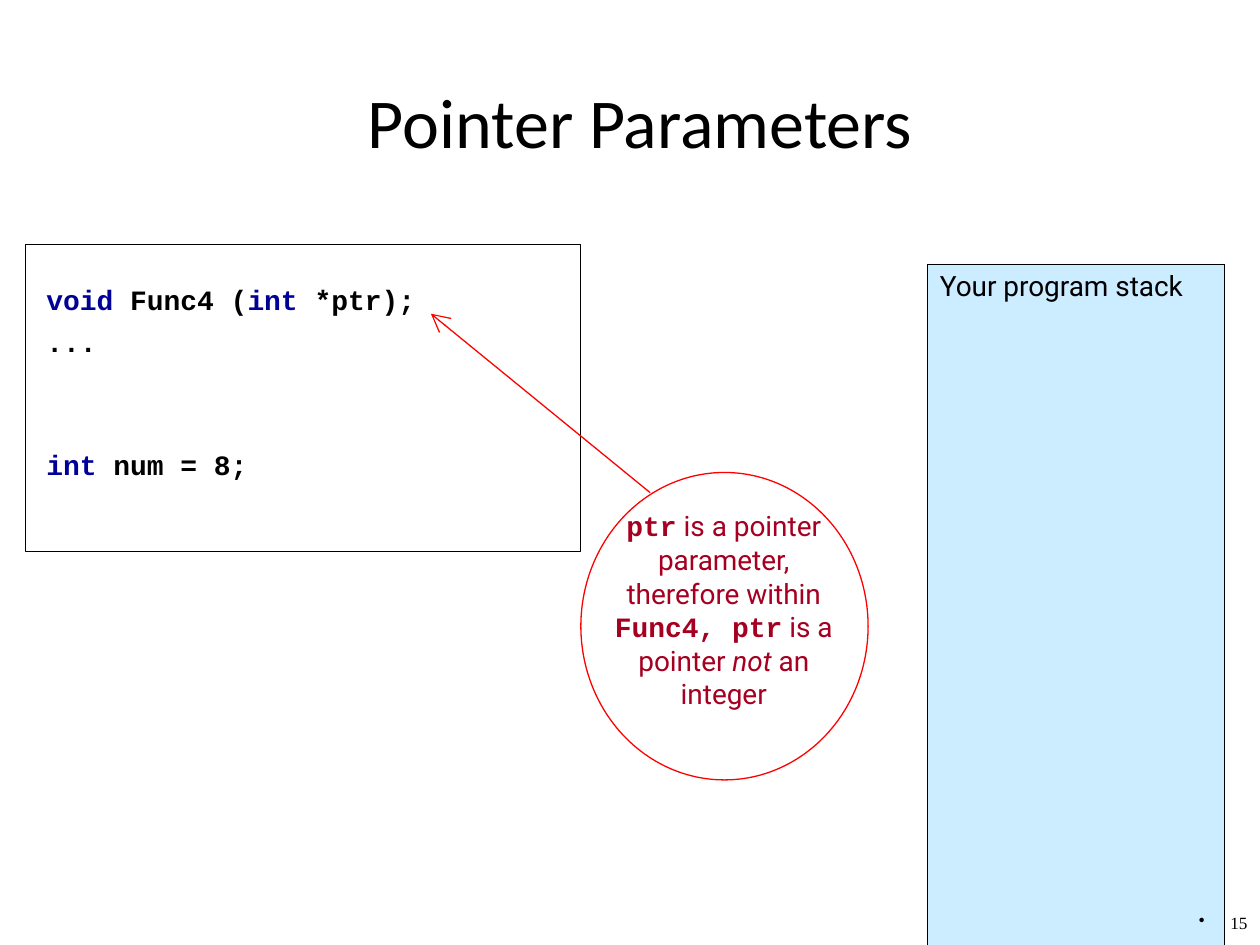
from lxml import etree
from pptx import Presentation
from pptx.dml.color import RGBColor
from pptx.enum.shapes import MSO_CONNECTOR, MSO_SHAPE
from pptx.enum.text import MSO_ANCHOR, PP_ALIGN
from pptx.oxml.ns import qn
from pptx.util import Inches, Pt

LEFT, CENTER, RIGHT, JUSTIFY = PP_ALIGN.LEFT, PP_ALIGN.CENTER, PP_ALIGN.RIGHT, PP_ALIGN.JUSTIFY
TOP, MIDDLE = MSO_ANCHOR.TOP, MSO_ANCHOR.MIDDLE
OVAL, RECTANGLE = MSO_SHAPE.OVAL, MSO_SHAPE.RECTANGLE
STRAIGHT = MSO_CONNECTOR.STRAIGHT

THEME = {
    "black": "000000",
    "red": "FF0000",
    "stack": "CCECFF",
    "outline": Pt(0.75),
    "border": Pt(0.45),
    "title": ("Calibri", 40, "000000", False, False),
    "code": ("Courier New", 16, "000000", True, False),
    "keyword": ("Courier New", 16, "000099", True, False),
    "label": ("Roboto", 16, "000000", False, False),
    "note": ("Roboto", 16, "A50021", False, False),
    "note italic": ("Roboto", 16, "A50021", False, True),
    "note code": ("Courier New", 16, "A50021", True, False),
    "page": ("Times New Roman", 9.8, "000000", False, False),
}

deck = Presentation()
deck.slide_width, deck.slide_height = Inches(10), Inches(7.5)
slide = deck.slides.add_slide(deck.slide_layouts[6])
shapes = slide.shapes
COLUMN = deck.slide_width / 100
ROW = deck.slide_height / 75


def place(left, top, width, height):
    return [round(left * COLUMN), round(top * ROW), round(width * COLUMN), round(height * ROW)]


def write(frame, lines, align=LEFT, anchor=TOP, gaps=(0,), spacing=None, bullet=None):
    frame.word_wrap = True
    frame.vertical_anchor = anchor
    for index, (line, gap) in enumerate(zip(lines, gaps)):
        paragraph = frame.add_paragraph() if index else frame.paragraphs[0]
        paragraph.alignment = align
        paragraph.space_before = Pt(gap)
        if spacing:
            paragraph.line_spacing = spacing
        if bullet:
            properties = paragraph._p.get_or_add_pPr()
            properties.set("marL", str(Inches(0.25)))
            properties.set("indent", str(-Inches(0.25)))
            etree.SubElement(properties, qn("a:buChar"), char=bullet)
        for text, style in line:
            run = paragraph.add_run()
            run.text = text
            font = run.font
            font.name, size, color, font.bold, font.italic = THEME[style]
            font.size = Pt(size)
            font.color.rgb = RGBColor.from_string(color)


title = shapes.add_textbox(*place(8.3, 6, 85, 7.1))
write(title.text_frame, [[("Pointer Parameters", "title")]], align=CENTER, anchor=MIDDLE)

code = shapes.add_textbox(*place(2.7, 21.9, 47.2, 48.8))
code_lines = [
    [("void", "keyword"), (" Func4 (", "code"), ("int", "keyword"), (" *ptr);", "code")],
    [("...", "code")],
    [("int", "keyword"), (" num = 8;", "code")],
]
write(code.text_frame, code_lines, gaps=(0, 5, 51))

STACK_ROWS = 13
stack_widths = (8.6, 9.5, 23.6)
stack = shapes.add_table(STACK_ROWS, len(stack_widths), *place(55.5, 21, sum(stack_widths), 54)).table
stack.first_row = stack.horz_banding = False
for column, width in zip(stack.columns, stack_widths):
    column.width = round(width * COLUMN)
for level in range(STACK_ROWS):
    for position in range(len(stack_widths)):
        cell = stack.cell(level, position)
        in_stack = position == 2
        drawn = {
            "L": in_stack,
            "R": position > 0,
            "T": in_stack and level == 0,
            "B": False,
        }
        properties = cell._tc.get_or_add_tcPr()
        for side, visible in drawn.items():
            edge = etree.SubElement(properties, qn("a:ln" + side), w=str(THEME["border"]))
            paint = etree.SubElement(edge, qn("a:solidFill" if visible else "a:noFill"))
            if visible:
                etree.SubElement(paint, qn("a:srgbClr"), val=THEME["black"])
        if in_stack:
            cell.fill.solid()
            cell.fill.fore_color.rgb = RGBColor.from_string(THEME["stack"])
        else:
            cell.fill.background()
write(stack.cell(0, 2).text_frame, [[("Your program stack", "label")]], align=JUSTIFY)

page = shapes.add_textbox(*place(93.6, 72.2, 6.4, 2.8))
write(page.text_frame, [[("15", "page")]], align=RIGHT, spacing=0.8, bullet="•")

note = shapes.add_textbox(*place(47.6, 39.9, 19.7, 17))
note_line = [
    ("ptr", "note code"),
    (" is a pointer parameter, therefore within ", "note"),
    ("Func4, ptr", "note code"),
    (" is a pointer ", "note"),
    ("not", "note italic"),
    (" an integer", "note"),
]
write(note.text_frame, [note_line], align=CENTER)

for kind, area, color in (
    (OVAL, (46.1, 37.5, 22.8, 24.4), "red"),
    (RECTANGLE, (2, 19.4, 44.1, 24.4), "black"),
):
    outline = shapes.add_shape(kind, *place(*area))
    outline.shadow.inherit = False
    outline.fill.background()
    outline.line.color.rgb = RGBColor.from_string(THEME[color])
    outline.line.width = THEME["outline"]

pointer = shapes.add_connector(STRAIGHT, *place(51.6, 39.1, 34.2, 24.9))
pointer.line.color.rgb = RGBColor.from_string(THEME["red"])
pointer.line.width = THEME["outline"]
etree.SubElement(pointer.line._get_or_add_ln(), qn("a:tailEnd"), type="arrow", w="lg", len="lg")
etree.SubElement(pointer._element.spPr, qn("a:effectLst"))

deck.save("out.pptx")
